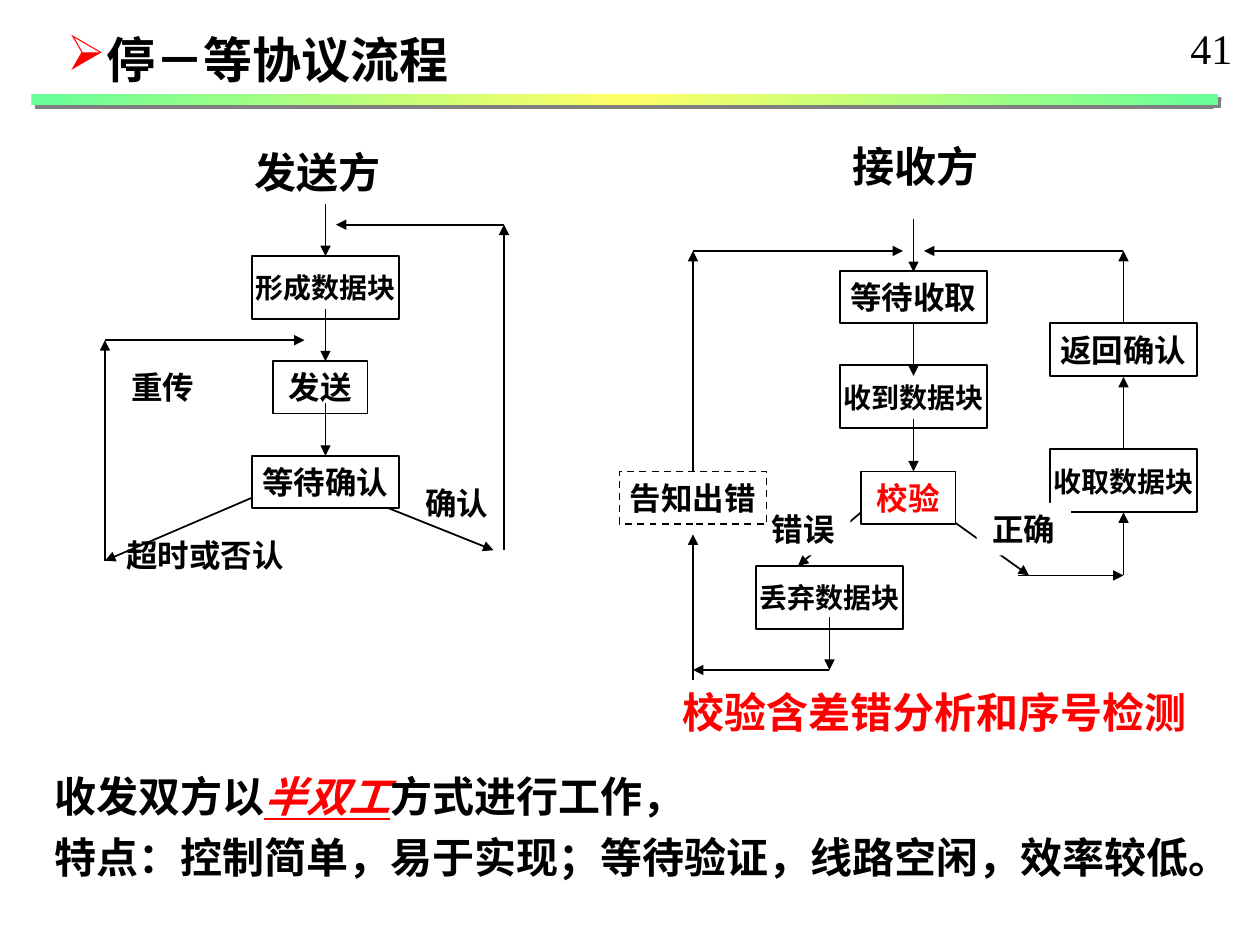
from pptx import Presentation
from pptx import util as u
from pptx.dml.color import RGBColor
from pptx.enum import dml, shapes, text
from pptx.oxml import parse_xml
from pptx.oxml.ns import nsdecls, qn

BLACK = RGBColor(0, 0, 0)
WHITE = RGBColor(255, 255, 255)
RED = RGBColor(255, 0, 0)
GREY = RGBColor(128, 128, 128)
GREEN = RGBColor(0x66, 0xFF, 0x99)
YELLOW = RGBColor(0xFF, 0xFF, 0x66)
SANS, SERIF = "Noto Sans CJK SC", "Times New Roman"
MID, LEFT = text.PP_ALIGN.CENTER, text.PP_ALIGN.LEFT


def px(n):
    return u.Emu(n * 7620)


def node(tag, inner="", **attrs):
    pairs = " ".join(f'{k}="{v}"' for k, v in attrs.items())
    return parse_xml(f'<a:{tag} {nsdecls("a")} {pairs}>{inner}</a:{tag}>')


def tint(color):
    return f'<a:srgbClr val="{color}"/>'


class Board:
    """Draws flowchart parts in one style on the current slide."""

    def __init__(self, slide):
        self.slide = slide
        self.items = slide.shapes

    def style(self, run, size, color=BLACK, face=SANS, bold=True):
        font = run.font
        font.size, font.name, font.bold = u.Pt(size), face, bold
        font.color.rgb = color
        font._element.find(qn("a:latin")).addnext(node("ea", typeface=SANS))

    def rect(self, x, y, w, h):
        item = self.items.add_shape(shapes.MSO_SHAPE.RECTANGLE, px(x), px(y), px(w), px(h))
        item.shadow.inherit = False
        item.line.fill.background()
        return item

    def bar(self, x, y, w, h):
        item = self.rect(x, y, w, h)
        stops = "".join(f'<a:gs pos="{pos}">{tint(color)}</a:gs>' for pos, color in
                        ((0, GREEN), (50000, YELLOW), (100000, GREEN)))
        prop = item._element.spPr
        prop.find(qn("a:prstGeom")).addnext(
            node("gradFill", f'<a:gsLst>{stops}</a:gsLst><a:lin ang="2700000" scaled="1"/>'))
        prop.find(qn("a:effectLst")).append(
            node("outerShdw", tint(GREY), dist=35921, dir=2700000, algn="ctr", rotWithShape=0))

    def label(self, words, x, y, w=90, h=50, size=18, color=BLACK):
        item = self.rect(x, y, w, h)
        item.fill.solid()
        item.fill.fore_color.rgb = WHITE
        frame = item.text_frame
        frame.text, frame.word_wrap = words, False
        frame.vertical_anchor = text.MSO_ANCHOR.MIDDLE
        para = frame.paragraphs[0]
        para.alignment = MID
        self.style(para.runs[0], size, color)
        return item

    def box(self, words, x, y, color=BLACK, dash=False):
        wide = 90 if len(words) == 2 else 140
        tall, size = (60, 16) if len(words) == 5 else (50, 18)
        line = self.label(words, x, y, wide, tall, size, color).line
        line.color.rgb, line.width = BLACK, u.Pt(1)
        if dash:
            line.dash_style = dml.MSO_LINE.DASH

    def arrow(self, x1, y1, x2, y2):
        item = self.items.add_connector(
            shapes.MSO_CONNECTOR.STRAIGHT, px(x1), px(y1), px(x2), px(y2))
        item.line.color.rgb, item.line.width = BLACK, u.Pt(1)
        item.line._get_or_add_ln().append(node("tailEnd", type="triangle"))
        item._element.spPr.append(node("effectLst"))

    def note(self, lines, x, y, w, h, align=LEFT, face=SERIF, color=BLACK, bold=True):
        frame = self.items.add_textbox(px(x), px(y), px(w), px(h)).text_frame
        frame.word_wrap = False
        for i, parts in enumerate(lines):
            para = frame.add_paragraph() if i else frame.paragraphs[0]
            para.alignment = align
            if len(lines) > 1:
                para.space_after = u.Pt(6)
            for part in parts:
                run = para.add_run()
                run.text = part
                self.style(run, 24, color, face, bold)
        return frame

    def title(self, words, x, y, w, h):
        item = self.items.title
        item.left, item.top, item.width, item.height = px(x), px(y), px(w), px(h)
        frame = item.text_frame
        frame.text, frame.word_wrap = words, True
        frame.auto_size = text.MSO_AUTO_SIZE.NONE
        frame.vertical_anchor = text.MSO_ANCHOR.TOP
        para = frame.paragraphs[0]
        para.alignment = LEFT
        prop = para._p.get_or_add_pPr()
        prop.set("marL", "0")
        prop.set("indent", "0")
        prop.append(node("buClr", tint(RED)))
        prop.append(node("buChar", char="➢"))
        self.style(para.runs[0], 28)


def send(board):
    for words, x, y in (("发送", 260, 344), ("形成数据块", 240, 244), ("等待确认", 240, 434)):
        board.box(words, x, y)
    for words, x, y in (("超时或否认", 150, 504), ("重传", 110, 344), ("确认", 390, 454)):
        board.label(words, x, y)
    for y in (194, 294, 384):
        board.arrow(310, y, 310, y + 50)
    for ends in ((100, 534, 100, 324), (100, 324, 290, 324), (240, 474, 100, 534),
                 (370, 484, 470, 524), (480, 524, 480, 214), (480, 214, 320, 214)):
        board.arrow(*ends)
    board.note([["发送方"]], 230, 134, 144, 60, MID, SANS)


def receive(board):
    board.box("校验", 820, 449, RED)
    for words, x, y in (("收到数据块", 800, 348), ("等待收取", 800, 258),
                        ("返回确认", 1000, 308), ("收取数据块", 1000, 428),
                        ("丢弃数据块", 720, 539)):
        board.box(words, x, y)
    for x, y in ((870, 209), (870, 308), (870, 399), (790, 588)):
        board.arrow(x, y, x, y + 50)
    for ends in ((790, 638, 660, 638), (660, 648, 660, 509), (660, 449, 660, 239),
                 (660, 239, 860, 239), (820, 488, 760, 539), (910, 498, 980, 548),
                 (970, 548, 1070, 548), (1070, 548, 1070, 488), (1070, 428, 1070, 359),
                 (1070, 308, 1070, 239), (1070, 239, 880, 239)):
        board.arrow(*ends)
    board.label("正确", 930, 479)
    board.label("错误", 720, 479)
    board.box("告知出错", 590, 449, dash=True)
    board.note([["接收方"]], 800, 128, 144, 60, MID, SANS)


def main():
    deck = Presentation()
    deck.slide_width, deck.slide_height = px(1200), px(900)
    board = Board(deck.slides.add_slide(deck.slide_layouts[5]))
    board.title("停－等协议流程", 52, 22, 463, 68)
    board.bar(30, 90, 1130, 10)
    send(board)
    receive(board)
    board.note([["校验含差错分析和序号检测"]], 638, 648, 506, 60, color=RED)
    frame = board.note([["收发双方以", "半双工", "方式进行工作，"],
                        ["特点：控制简单，易于实现；等待验证，线路空闲，效率较低。"]],
                       40, 728, 1144, 132)
    font = frame.paragraphs[0].runs[1].font
    font.color.rgb, font.italic, font.underline = RED, True, True
    board.note([["41"]], 1122, 16, 65, 60, bold=False)
    deck.save("out.pptx")


if __name__ == "__main__":
    main()
